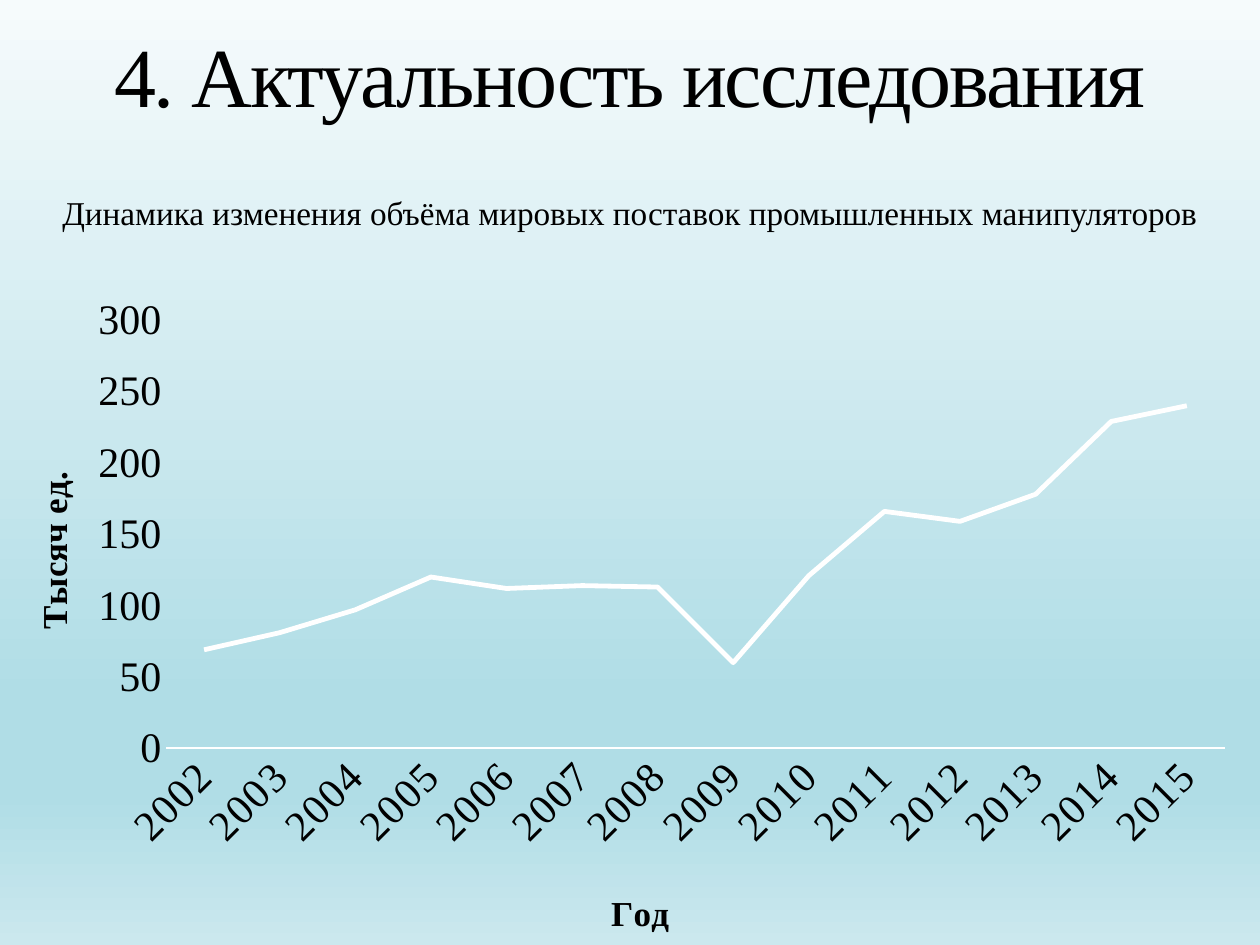
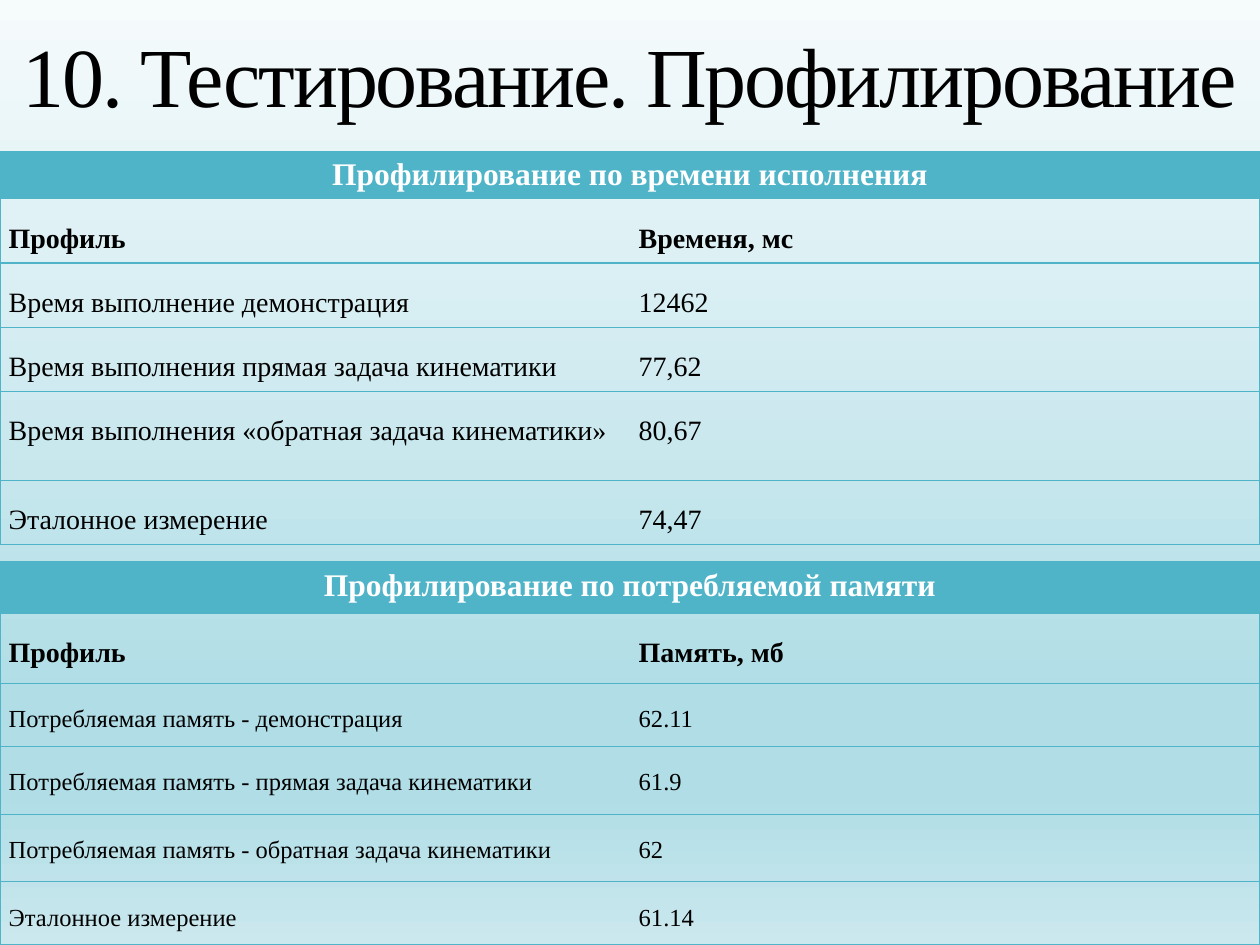
from lxml.etree import SubElement
from pptx import Presentation
from pptx.chart.data import CategoryChartData
from pptx.dml.color import RGBColor
from pptx.enum.chart import XL_CHART_TYPE, XL_MARKER_STYLE, XL_TICK_MARK
from pptx.enum.text import MSO_ANCHOR, MSO_AUTO_SIZE, PP_ALIGN
from pptx.oxml import parse_xml
from pptx.oxml.ns import nsdecls, qn
from pptx.util import Pt

FACE = "Times New Roman"
BLACK, WHITE, TEAL = "000000", "FFFFFF", "50B4C8"
SKY = [(0, "F6FBFC"), (74, "B0DDE6"), (84, "B0DDE6"), (100, "CBE8EE")]
WIDE, HIGH = 720, 540
NO_STYLE = "{2D5ABB26-0587-4C30-8999-92F81FD0307C}"


def style(font, size, color=BLACK, bold=False):
    font.name, font.size, font.bold = FACE, Pt(size), bold
    font.color.rgb = RGBColor.from_string(color)


def write(para, text, size, color=BLACK, bold=False):
    run = para.add_run()
    run.text = text
    style(run.font, size, color, bold)
    return run


deck = Presentation()
deck.slide_width, deck.slide_height = Pt(WIDE), Pt(HIGH)

# Background shared through the master
back = deck.slide_master.background.fill
back.gradient()
back.gradient_angle = 270
stops = next(deck.slide_master.element.iter(qn("a:gsLst")))
for stop in list(stops):
    stops.remove(stop)
for place, color in SKY:
    stop = SubElement(stops, qn("a:gs"), pos=str(place * 1000))
    SubElement(stop, qn("a:srgbClr"), val=color)

# Slides with their titles
slides = []
for text in ["4. Актуальность исследования", "10. Тестирование. Профилирование"]:
    slide = deck.slides.add_slide(deck.slide_layouts[5])
    title = slide.shapes.title
    title.left, title.top, title.width, title.height = Pt(0), Pt(0), Pt(WIDE), Pt(92)
    frame = title.text_frame
    frame.word_wrap, frame.auto_size = True, MSO_AUTO_SIZE.NONE
    frame.vertical_anchor = MSO_ANCHOR.MIDDLE
    para = frame.paragraphs[0]
    para.alignment, para.line_spacing = PP_ALIGN.CENTER, 0.9
    run = write(para, text, 48)
    run.font._element.set("spc", "-120")
    slides.append(slide)
trend, tests = slides

# Supply chart
data = CategoryChartData()
data.categories = [str(year) for year in range(2002, 2016)]
data.add_series("Series 1", [69, 81, 97, 120, 112, 114, 113, 60,
                             121, 166, 159, 178, 229, 240])
chart = trend.shapes.add_chart(XL_CHART_TYPE.LINE, Pt(0), Pt(154), Pt(WIDE),
                               Pt(386), data).chart
chart.has_legend = chart.has_title = False
chart.font.name, chart.font.size = "Calibri", Pt(20)
chart.font.color.rgb = RGBColor.from_string(BLACK)
chart.plots[0].vary_by_categories = False
years, units = chart.category_axis, chart.value_axis
for axis, name in [(years, "Год"), (units, "Тысяч ед.")]:
    axis.has_major_gridlines = False
    axis.major_tick_mark = axis.minor_tick_mark = XL_TICK_MARK.NONE
    style(axis.tick_labels.font, 24)
    write(axis.axis_title.text_frame.paragraphs[0], name, 20, bold=True)
years.format.line.color.rgb = RGBColor.from_string(WHITE)
years.format.line.width = Pt(1)
years._element.find(qn("c:txPr")).find(qn("a:bodyPr")).set("rot", "-2700000")
years.tick_labels.font._element.set("spc", "100")
units.format.line.fill.background()
units.minimum_scale, units.maximum_scale, units.major_unit = 0, 300, 50
line = chart.series[0]
line.smooth = False
line.format.line.color.rgb = RGBColor.from_string(WHITE)
line.format.line.width = Pt(2.75)
line.marker.style = XL_MARKER_STYLE.NONE

# Places of the plot and the axis titles, as shares of the chart
area = next(chart._chartSpace.iter(qn("c:plotArea")))
inner = '<c:layoutTarget val="inner"/>'
extent = '<c:w val="0.84"/><c:h val="0.634"/>'
for node, index, target, x, y, size in [
        (area, 0, inner, 0.132, 0.075, extent),
        (years.axis_title._element, 1, "", 0.48, 0.91, ""),
        (units.axis_title._element, 1, "", 0.02, 0.29, "")]:
    for old in node.findall(qn("c:layout")):
        node.remove(old)
    node.insert(index, parse_xml(
        f'<c:layout {nsdecls("c")}><c:manualLayout>{target}'
        f'<c:xMode val="edge"/><c:yMode val="edge"/><c:x val="{x}"/><c:y val="{y}"/>'
        f'{size}</c:manualLayout></c:layout>'))

# Chart caption
frame = trend.shapes.add_textbox(Pt(0), Pt(106.5), Pt(WIDE), Pt(30)).text_frame
frame.word_wrap = True
frame.paragraphs[0].alignment = PP_ALIGN.CENTER
write(frame.paragraphs[0],
      "Динамика изменения объёма мировых поставок промышленных манипуляторов", 19)

# Profiling tables: top, text size, row heights, heading, rows
tables = [
    (86.5, 16, [25, 34, 34, 34, 51, 34], "Профилирование по времени исполнения", [
        ("Профиль", "Временя, мс"),
        ("Время выполнение демонстрация", "12462"),
        ("Время выполнения прямая задача кинематики", "77,62"),
        ("Время выполнения «обратная задача кинематики»", "80,67"),
        ("Эталонное измерение", "74,47")]),
    (321, 14, [29.5, 40, 36, 39, 38.5, 36], "Профилирование по потребляемой памяти", [
        ("Профиль", "Память, мб"),
        ("Потребляемая память - демонстрация", "62.11"),
        ("Потребляемая память - прямая задача кинематики", "61.9"),
        ("Потребляемая память - обратная задача кинематики", "62"),
        ("Эталонное измерение", "61.14")]),
]
for top, size, heights, head, rows in tables:
    grid = tests.shapes.add_table(len(heights), 2, Pt(0), Pt(top), Pt(WIDE),
                                  Pt(sum(heights))).table
    grid.first_row = grid.horz_banding = False
    next(grid._tbl.iter(qn("a:tableStyleId"))).text = NO_STYLE
    for row, height in zip(grid.rows, heights):
        row.height = Pt(height)
    grid.cell(0, 0).merge(grid.cell(0, 1))
    para = grid.cell(0, 0).text_frame.paragraphs[0]
    para.alignment = PP_ALIGN.CENTER
    write(para, head, 18, WHITE, True)
    for r, pair in enumerate(rows, 1):
        for c, text in enumerate(pair):
            cell = grid.cell(r, c)
            cell.margin_left = cell.margin_right = Pt(5)
            cell.margin_top = cell.margin_bottom = Pt(5)
            para = cell.text_frame.paragraphs[0]
            para.line_spacing = 1.5
            if c == 0 and 1 < r < len(rows):
                para.alignment = PP_ALIGN.JUSTIFY
            write(para, text, 16 if r == 1 else size, bold=r == 1)
    for r in range(len(heights)):
        for c in range(2):
            cell = grid.cell(r, c)
            if r == 0:
                cell.fill.solid()
                cell.fill.fore_color.rgb = RGBColor.from_string(TEAL)
            else:
                cell.fill.background()
            sides = ["lnL" if c == 0 else "lnR", "lnT", "lnB"]
            for i, side in enumerate(sides):
                cell._tc.tcPr.insert(i, parse_xml(
                    f'<a:{side} {nsdecls("a")} w="{Pt(0.75)}"><a:solidFill>'
                    f'<a:srgbClr val="{TEAL}"/></a:solidFill></a:{side}>'))

deck.save("out.pptx")
